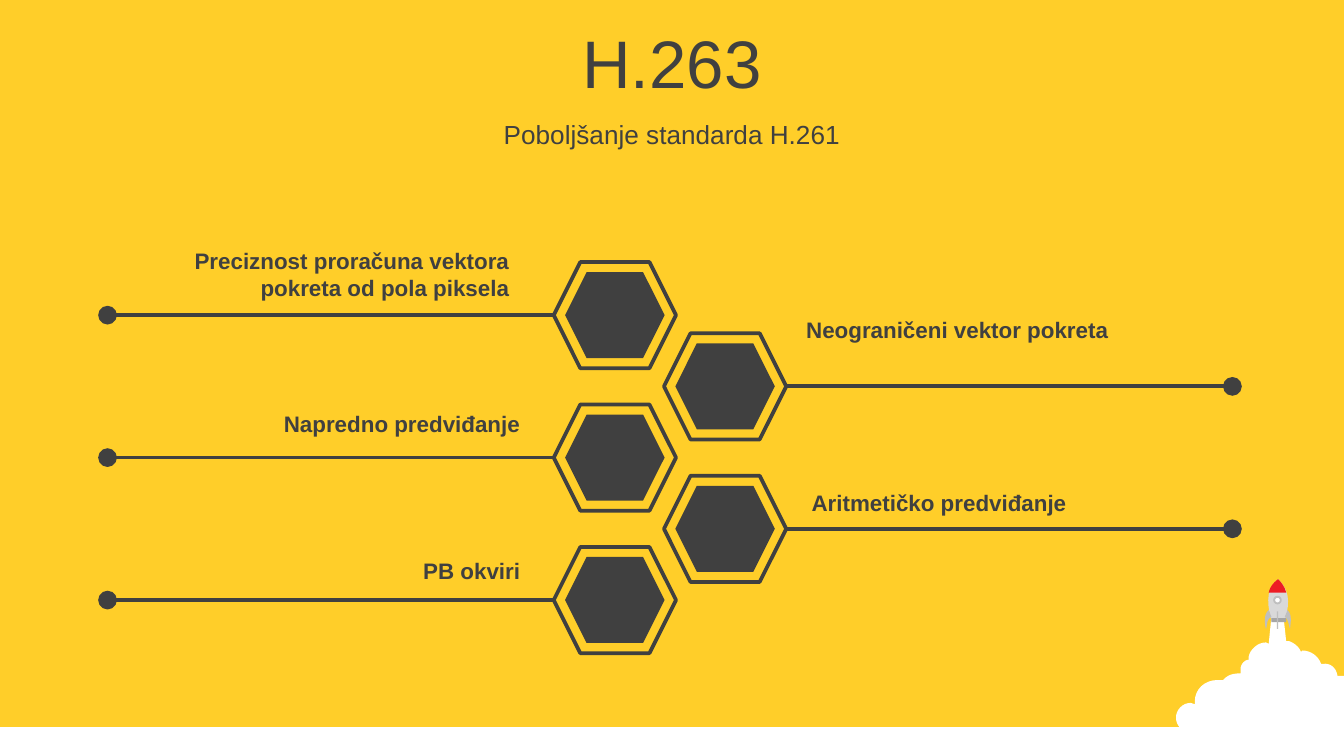
from lxml.etree import SubElement
from pptx import Presentation
from pptx.dml.color import RGBColor
from pptx.enum.shapes import MSO_CONNECTOR, MSO_SHAPE
from pptx.enum.text import MSO_ANCHOR, MSO_AUTO_SIZE, PP_ALIGN
from pptx.oxml.ns import qn
from pptx.util import Inches, Pt

YELLOW, DARK, WHITE = "FFCE29", "404040", "FFFFFF"
SILVER, GREY, STEEL, RED = "D9D9D9", "BFBFBF", "A6A6A6", "ED1C24"
WIDTH = 10
HEIGHT = WIDTH * 9 / 16

TITLE = "H.263"
SUBTITLE = "Poboljšanje standarda H.261"
# Top to bottom, alternating left and right: text, label left, top, height
FEATURES = [
    ("Preciznost proračuna vektora pokreta od pola piksela", 1.06, 1.79, 0.5),
    ("Neograničeni vektor pokreta", 5.9, 2.3, 0.3),
    ("Napredno predviđanje", 1.14, 3, 0.3),
    ("Aritmetičko predviđanje", 5.94, 3.59, 0.3),
    ("PB okviri", 1.14, 4.1, 0.3),
]
LABEL_W = 2.83
HEX_W, HEX_H, CORE_W, CORE_H = 0.91, 0.79, 0.74, 0.64
HEX_TOP, HEX_STEP = 1.95, 0.53
LEFT_HEX, RIGHT_HEX = 4.12, 4.94
LEFT_END, RIGHT_END = 0.8, 9.17

# Outlines: pairs are line points, sextuples are cubic Bézier curves
CLOUD = [
    (9.46, 4.59), (9.55, 4.59), (9.57, 4.77), (9.59, 4.77),
    (9.62, 4.78, 9.65, 4.8, 9.67, 4.83), (9.68, 4.85), (9.69, 4.84),
    (9.75, 4.84, 9.81, 4.88, 9.83, 4.94), (9.84, 4.94),
    (9.9, 4.93, 9.94, 4.97, 9.95, 5.02), (9.95, 5.03), (10, 5.03),
    (10, 5.6), (9.34, 5.61), (9.23, 5.61, 9.17, 5.56, 9.13, 5.51),
    (9.11, 5.53, 9.07, 5.54, 9.04, 5.53), (9, 5.52, 8.94, 5.5, 8.93, 5.45),
    (8.93, 5.43), (8.92, 5.44), (8.91, 5.45, 8.89, 5.45, 8.86, 5.45),
    (8.8, 5.45, 8.75, 5.4, 8.75, 5.34), (8.75, 5.28, 8.8, 5.23, 8.86, 5.23),
    (8.89, 5.24), (8.89, 5.22), (8.89, 5.13, 8.96, 5.06, 9.06, 5.06),
    (9.1, 5.06), (9.11, 5.05), (9.14, 5.02, 9.18, 5.01, 9.23, 5.01),
    (9.23, 4.98), (9.23, 4.95, 9.25, 4.92, 9.28, 4.91), (9.29, 4.91),
    (9.29, 4.89), (9.3, 4.83, 9.36, 4.78, 9.42, 4.78), (9.44, 4.79),
]
HULL = [(9.46, 4.62), (9.44, 4.53, 9.4, 4.4, 9.51, 4.31),
        (9.62, 4.41, 9.58, 4.54, 9.56, 4.62)]
NOSE = [(9.51, 4.31), (9.54, 4.34, 9.56, 4.37, 9.57, 4.41), (9.44, 4.41),
        (9.45, 4.37, 9.47, 4.34, 9.51, 4.31)]
LEFT_FIN = [(9.44, 4.54), (9.46, 4.59), (9.42, 4.61, 9.43, 4.66, 9.42, 4.68),
            (9.41, 4.65, 9.4, 4.57, 9.44, 4.54)]
RIGHT_FIN = [(9.58, 4.54), (9.56, 4.59), (9.59, 4.61, 9.59, 4.66, 9.6, 4.68),
             (9.6, 4.65, 9.62, 4.57, 9.58, 4.54)]


def rgb(color):
    return RGBColor.from_string(color)


def paint(sp, fill, line=None, width=1):
    sp.shadow.inherit = False
    sp.fill.solid()
    sp.fill.fore_color.rgb = rgb(fill)
    if line:
        sp.line.color.rgb = rgb(line)
        sp.line.width = Pt(width)
    else:
        sp.line.fill.background()


def add_shape(kind, x, y, w, h, *style):
    sp = shapes.add_shape(kind, Inches(x), Inches(y), Inches(w), Inches(h))
    paint(sp, *style)


def flatten(outline, steps=8):
    """Turn an outline with Bézier curves into plain points."""
    points = []
    for part in outline:
        if len(part) == 2:
            points.append(part)
            continue
        x0, y0 = points[-1]
        x1, y1, x2, y2, x3, y3 = part
        for i in range(1, steps + 1):
            t = i / steps
            a, b, c, d = (1 - t)**3, 3 * t * (1 - t)**2, 3 * t**2 * (1 - t), t**3
            points.append((a * x0 + b * x1 + c * x2 + d * x3,
                           a * y0 + b * y1 + c * y2 + d * y3))
    return points


def add_outline(outline, fill):
    start, *rest = [(Inches(x), Inches(y)) for x, y in flatten(outline)]
    builder = shapes.build_freeform(*start)
    builder.add_line_segments(rest)
    paint(builder.convert_to_shape(), fill)


def add_dotted_line(x1, x2, y):
    """Draw a horizontal line with a dot at x2."""
    cn = shapes.add_connector(MSO_CONNECTOR.STRAIGHT, Inches(x1), Inches(y),
                              Inches(x2), Inches(y))
    cn.line.color.rgb = rgb(DARK)
    cn.line.width = Pt(2)
    sp_pr = cn._element.spPr
    SubElement(sp_pr.find(qn("a:ln")), qn("a:tailEnd"), type="oval", w="lg", len="lg")
    SubElement(sp_pr, qn("a:effectLst"))


def write(sp, text, size, align, bold=False):
    tf = sp.text_frame
    tf.word_wrap = True
    tf.auto_size = MSO_AUTO_SIZE.NONE
    tf.text = text
    p = tf.paragraphs[0]
    p.alignment = align
    p.space_before = Pt(0)
    font = p.runs[0].font
    font.name, font.size, font.bold = "Arial", Pt(size), bold
    font.color.rgb = rgb(DARK)


prs = Presentation()
prs.slide_width, prs.slide_height = Inches(WIDTH), Inches(HEIGHT)
s = prs.slides.add_slide(prs.slide_layouts[0])
s.background.fill.solid()
s.background.fill.fore_color.rgb = rgb(YELLOW)
shapes = s.shapes

for sp, text, size, top, height in [(shapes.title, TITLE, 36, 0.14, 0.63),
                                    (s.placeholders[1], SUBTITLE, 14, 0.84, 0.31)]:
    sp.left, sp.top = Inches(0), Inches(top)
    sp.width, sp.height = Inches(WIDTH), Inches(height)
    write(sp, text, size, PP_ALIGN.CENTER)
    sp.text_frame.vertical_anchor = MSO_ANCHOR.MIDDLE

add_shape(MSO_SHAPE.RECTANGLE, 0, 5.41, WIDTH, HEIGHT - 5.41, WHITE)
add_outline(CLOUD, WHITE)
add_outline(HULL, SILVER)
add_shape(MSO_SHAPE.RECTANGLE, 9.46, 4.6, 0.11, 0.03, STEEL)
add_outline(NOSE, RED)
add_shape(MSO_SHAPE.OVAL, 9.48, 4.44, 0.05, 0.05, WHITE, GREY)
add_shape(MSO_SHAPE.RECTANGLE, 9.5, 4.55, 0.01, 0.13, GREY)
add_outline(LEFT_FIN, GREY)
add_outline(RIGHT_FIN, GREY)

for i, (text, label_x, label_y, label_h) in enumerate(FEATURES):
    on_left = i % 2 == 0
    x, y = LEFT_HEX if on_left else RIGHT_HEX, HEX_TOP + i * HEX_STEP
    add_shape(MSO_SHAPE.HEXAGON, x, y, HEX_W, HEX_H, YELLOW, DARK, 2)
    add_shape(MSO_SHAPE.HEXAGON, x + (HEX_W - CORE_W) / 2, y + (HEX_H - CORE_H) / 2,
              CORE_W, CORE_H, DARK)
    start, end = (x, LEFT_END) if on_left else (x + HEX_W, RIGHT_END)
    add_dotted_line(start, end, y + HEX_H / 2)
    label = shapes.add_textbox(Inches(label_x), Inches(label_y),
                               Inches(LABEL_W), Inches(label_h))
    write(label, text, 12, PP_ALIGN.RIGHT if on_left else PP_ALIGN.LEFT, bold=True)

prs.save("out.pptx")
